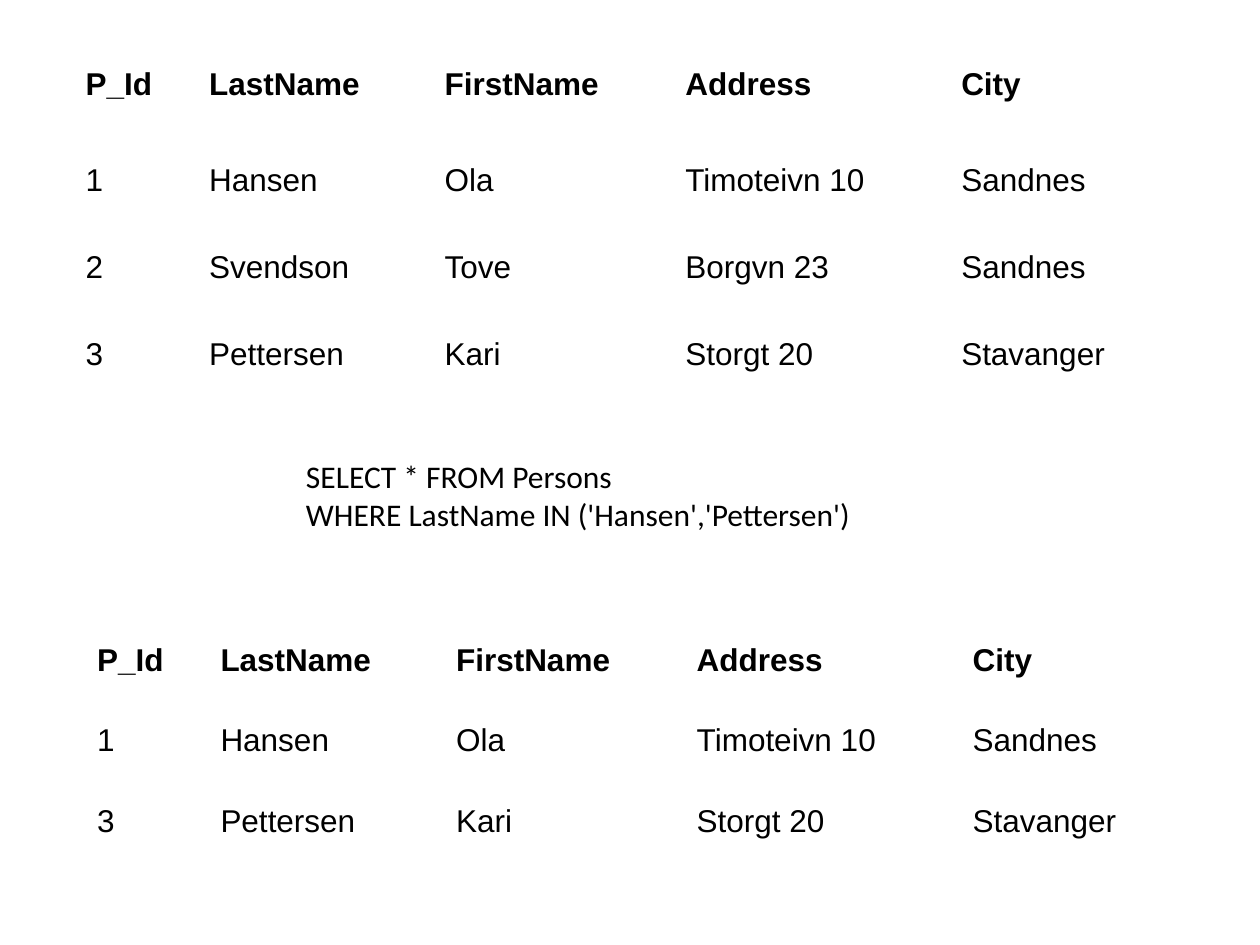
"""Build a slide showing a Persons table, an SQL IN query and its result."""
from pptx import Presentation
from pptx import util as u
from pptx.dml.color import RGBColor
from pptx.enum import text

BLACK = RGBColor(0, 0, 0)
FONT_SIZE = u.Pt(18)
HEADER = ("P_Id", "LastName", "FirstName", "Address", "City")
PERSONS = [
    ("1", "Hansen", "Ola", "Timoteivn 10", "Sandnes"),
    ("2", "Svendson", "Tove", "Borgvn 23", "Sandnes"),
    ("3", "Pettersen", "Kari", "Storgt 20", "Stavanger"),
]
SELECTED_NAMES = ("Hansen", "Pettersen")
QUERY = "SELECT * FROM Persons\vWHERE LastName IN ('Hansen','Pettersen')"
COLUMN_WIDTHS = (0.98, 1.87, 1.91, 2.19, 1.8)
HANGING_INDENT = u.Inches(0.38)


def format_font(font, name, bold=False):
    font.name = name
    font.size = FONT_SIZE
    font.bold = bold
    font.color.rgb = BLACK


def fill_cell(cell, value, bold):
    cell.fill.background()
    cell.vertical_anchor = text.MSO_ANCHOR.MIDDLE
    paragraph = cell.text_frame.paragraphs[0]
    paragraph.text = value
    properties = paragraph._p.get_or_add_pPr()
    properties.set("marL", str(HANGING_INDENT))
    properties.set("indent", str(-HANGING_INDENT))
    format_font(paragraph.runs[0].font, "Arial", bold)


def add_person_table(slide, left, top, persons, header_height, row_height):
    rows = [HEADER, *persons]
    heights = [header_height] + [row_height] * len(persons)
    frame = slide.shapes.add_table(
        len(rows), len(HEADER), u.Inches(left), u.Inches(top),
        u.Inches(sum(COLUMN_WIDTHS)), u.Inches(sum(heights)))
    table = frame.table
    table.horz_banding = False
    table.first_row = False
    for column, width in zip(table.columns, COLUMN_WIDTHS):
        column.width = u.Inches(width)
    for index, (row, height) in enumerate(zip(table.rows, heights)):
        row.height = u.Inches(height)
        for cell, value in zip(row.cells, rows[index]):
            fill_cell(cell, value, bold=index == 0)


def add_query(slide):
    box = slide.shapes.add_textbox(
        u.Inches(2.33), u.Inches(3.58), u.Inches(5.15), u.Inches(0.7))
    frame = box.text_frame
    frame.word_wrap = False
    frame.auto_size = text.MSO_AUTO_SIZE.SHAPE_TO_FIT_TEXT
    frame.vertical_anchor = text.MSO_ANCHOR.MIDDLE
    paragraph = frame.paragraphs[0]
    paragraph.text = QUERY
    for run in paragraph.runs:
        format_font(run.font, "Calibri")


def main():
    presentation = Presentation()
    presentation.slide_width = u.Inches(10)
    presentation.slide_height = u.Inches(7.5)
    slide = presentation.slides.add_slide(presentation.slide_layouts[6])
    selected = [person for person in PERSONS if person[1] in SELECTED_NAMES]
    add_person_table(slide, 0.58, 0.25, PERSONS, 0.84, 0.69)
    add_query(slide)
    add_person_table(slide, 0.67, 4.92, selected, 0.64, 0.64)
    presentation.save("out.pptx")


if __name__ == "__main__":
    main()
